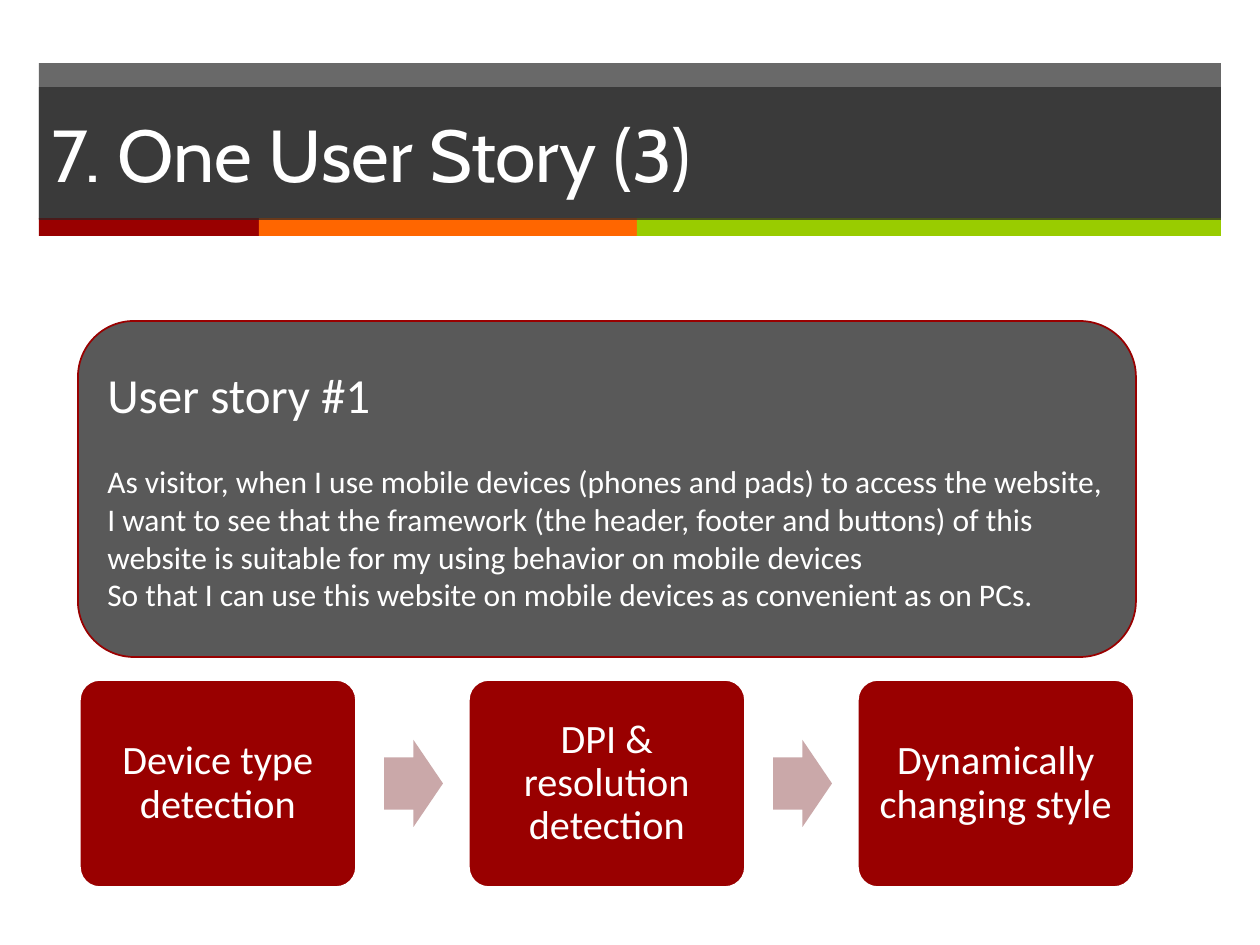
from lxml import etree
from pptx import Presentation
from pptx import util as u
from pptx.dml.color import RGBColor
from pptx.enum import shapes, text
from pptx.oxml.ns import qn

SCALE = u.Inches(1) / 126  # EMU per px
KIND = shapes.MSO_SHAPE
ALIGN = text.PP_ALIGN


def add_block(kind, box, fill, line=None, line_width=1, opacity=100):
    left, top, width, height = (round(value * SCALE) for value in box)
    shape = slide.shapes.add_shape(kind, left, top, width, height)
    shape.shadow.inherit = False
    shape.fill.solid()
    shape.fill.fore_color.rgb = RGBColor.from_string(fill)
    if opacity < 100:
        color = shape.fill._xPr.find(qn("a:solidFill"))[0]
        etree.SubElement(color, qn("a:alpha")).set("val", str(opacity * 1000))
    if line:
        shape.line.color.rgb = RGBColor.from_string(line)
        shape.line.width = u.Pt(line_width)
    else:
        shape.line.fill.background()
    return shape


def add_text(shape, lines, font, align, inset=6):
    """Write (wording, size, space before) lines into a shape."""
    frame = shape.text_frame
    frame.word_wrap = True
    frame.vertical_anchor = text.MSO_ANCHOR.MIDDLE
    frame.margin_left = frame.margin_right = round(13 * SCALE)
    frame.margin_top = frame.margin_bottom = round(inset * SCALE)
    for index, (wording, size, space) in enumerate(lines):
        paragraph = frame.add_paragraph() if index else frame.paragraphs[0]
        paragraph.alignment = align
        paragraph.space_before = u.Pt(space)
        run = paragraph.add_run()
        run.text = wording
        run.font.name = font
        run.font.size = u.Pt(size)
        run.font.color.rgb = RGBColor.from_string("FFFFFF")


presentation = Presentation()
presentation.slide_width = u.Inches(10)
presentation.slide_height = u.Inches(7.5)
slide = presentation.slides.add_slide(presentation.slide_layouts[6])

# Header band with a colour strip under it
add_block(KIND.RECTANGLE, (39, 63, 1182, 156), "262626", opacity=69)
left = 39
for width, color in ((220, "990000"), (378, "FF6600"), (584, "99CC00")):
    add_block(KIND.RECTANGLE, (left, 218, width, 18), color)
    left += width

# Title
title = add_block(KIND.RECTANGLE, (39, 87, 1182, 133), "262626", opacity=69)
add_text(title, [("7. One User Story (3)", 42, 0)], "Cabin", ALIGN.LEFT)

# User story
story = add_block(KIND.ROUNDED_RECTANGLE, (78, 321, 1058, 336), "595959", "990000")
add_text(story, [
    ("User story #1", 28, 0),
    ("As visitor, when I use mobile devices (phones and pads) to access the website, "
     "I want to see that the framework (the header, footer and buttons) of this "
     "website is suitable for my using behavior on mobile devices", 18, 22),
    ("So that I can use this website on mobile devices as convenient as on PCs.", 18, 0),
], "Calibri", ALIGN.LEFT)

# Process steps, with an arrow after each but the last
steps = ["Device type detection", "DPI & resolution detection", "Dynamically changing style"]
for index, wording in enumerate(steps):
    left = 79 + index * 389
    step = add_block(KIND.ROUNDED_RECTANGLE, (left, 679, 278, 209), "990000", "FFFFFF", 2)
    step.adjustments[0] = 0.1
    add_text(step, [(wording, 23, 0)], "Calibri", ALIGN.CENTER, 13)
    paragraph = step.text_frame.paragraphs[0]
    paragraph.line_spacing = 0.9
    paragraph.space_after = u.Pt(10)
    if index < len(steps) - 1:
        arrow = add_block(KIND.RIGHT_ARROW, (left + 305, 740, 59, 87), "CAA8A9")
        arrow.adjustments[0] = 0.6

presentation.save("out.pptx")
